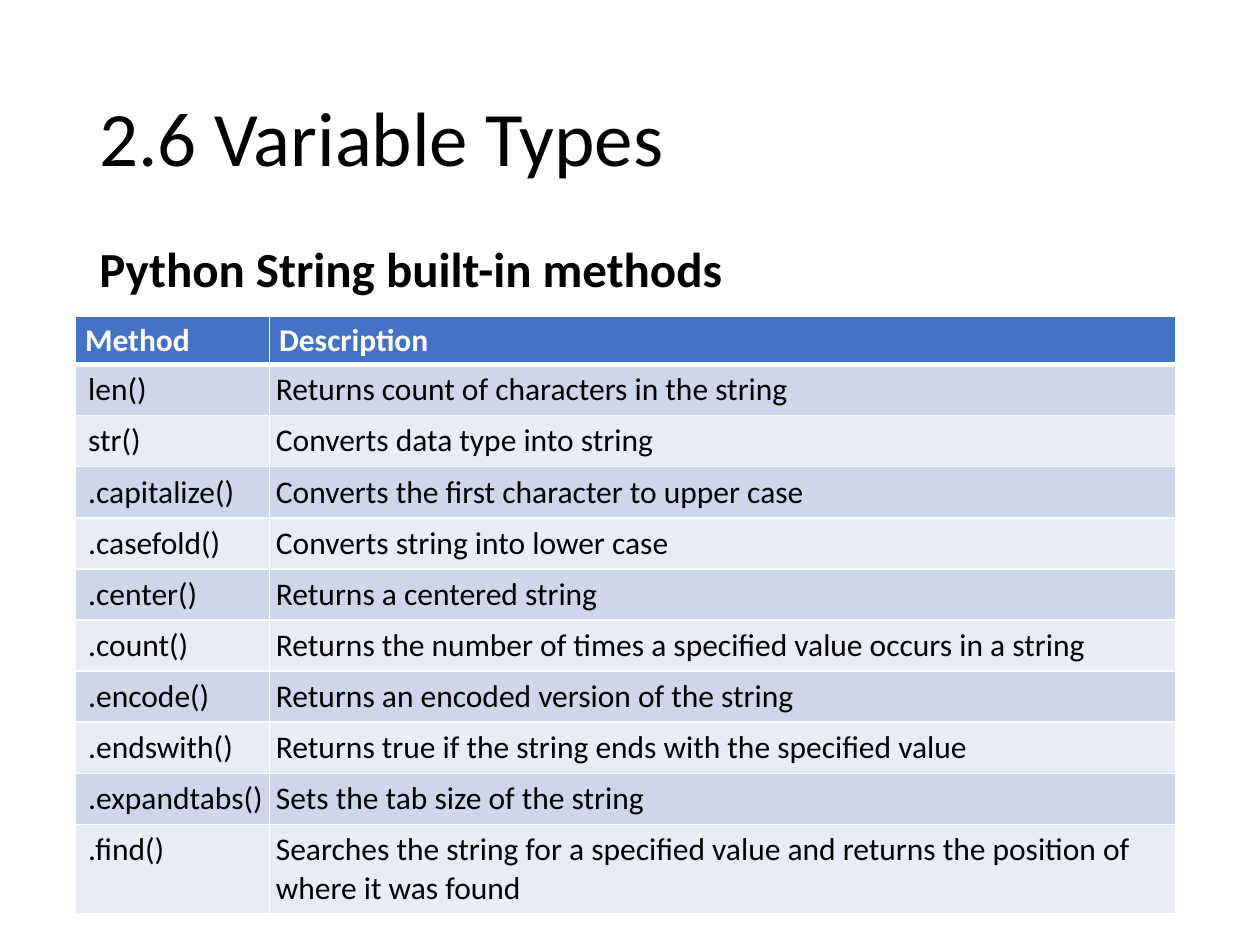
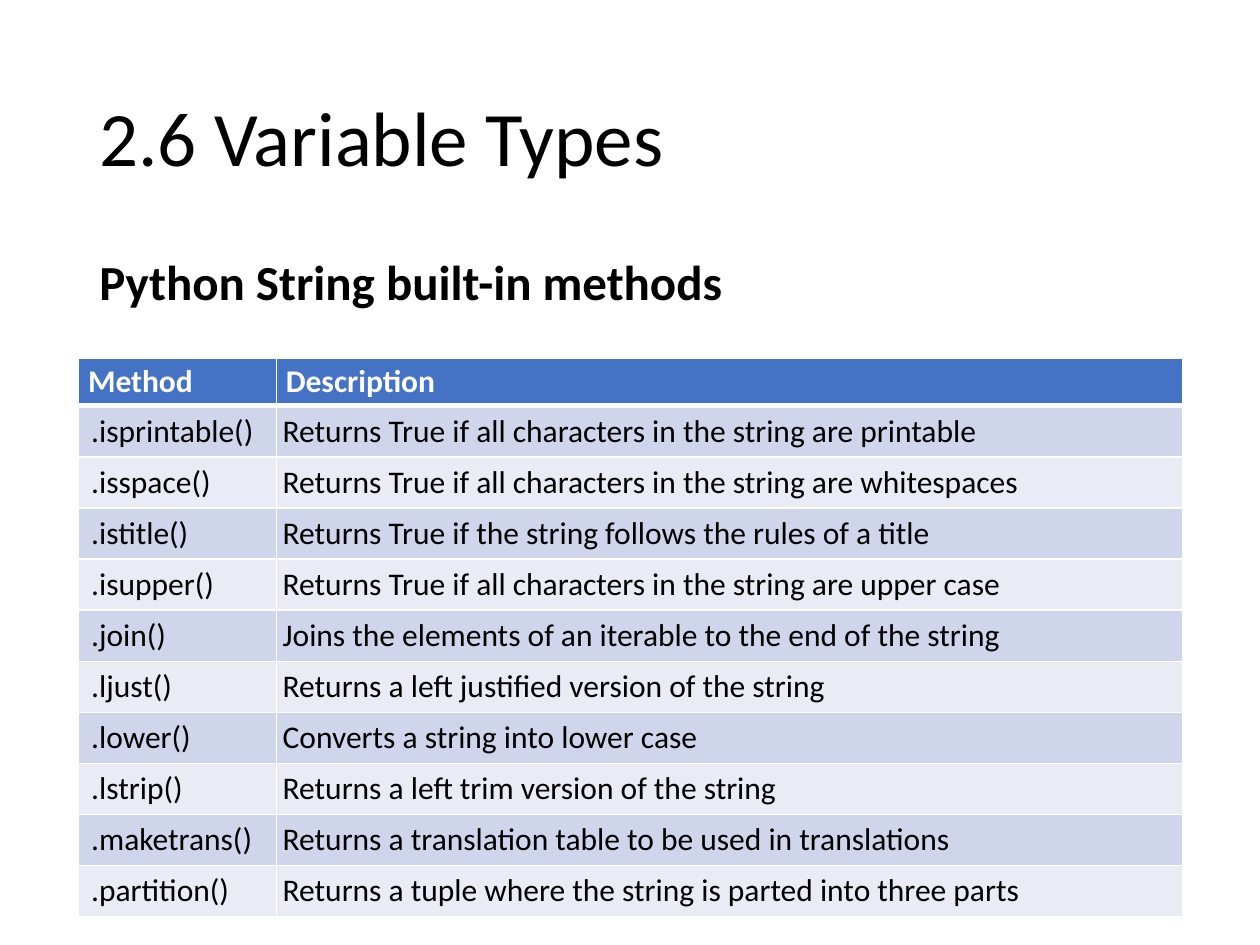
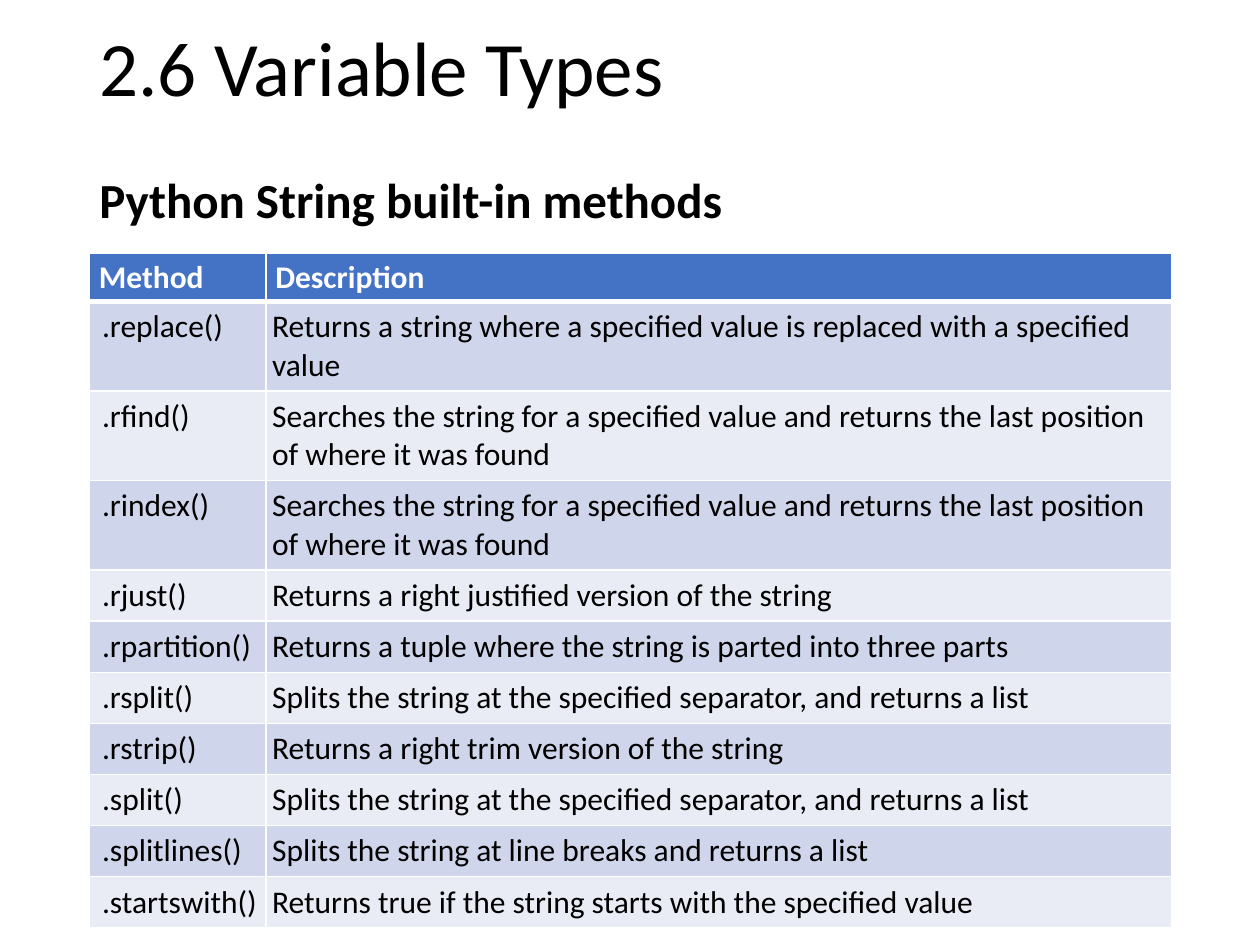
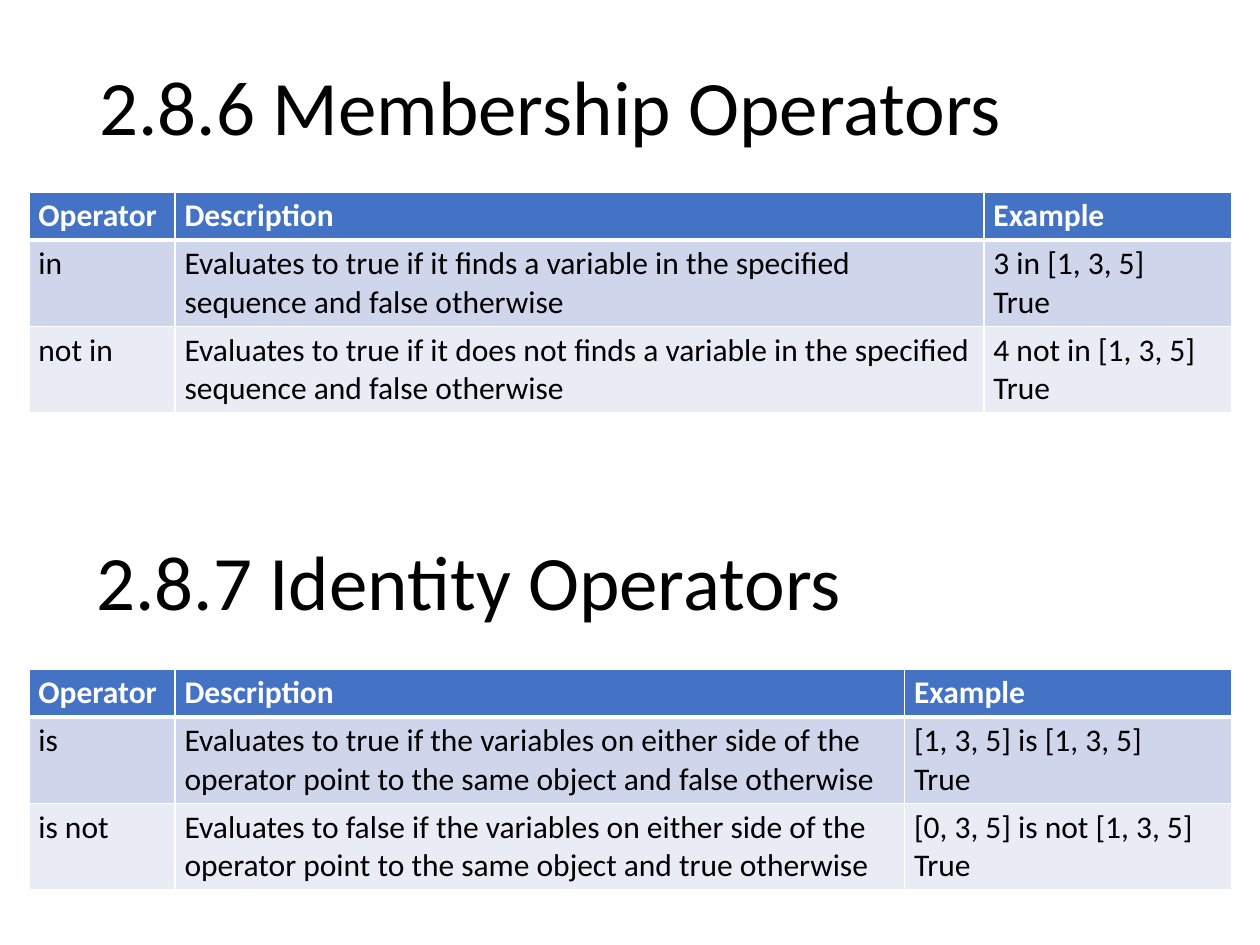
from lxml import etree
from pptx import Presentation
from pptx.dml import color
from pptx.enum import text as t
from pptx.oxml import ns
from pptx.util import Pt

BLACK = color.RGBColor(0x00, 0x00, 0x00)
WHITE = color.RGBColor(0xFF, 0xFF, 0xFF)
BLUE = color.RGBColor(0x44, 0x72, 0xC4)
BAND_DARK = color.RGBColor(0xCF, 0xD5, 0xEA)
BAND_LIGHT = color.RGBColor(0xE9, 0xEB, 0xF5)
FONT = "Calibri"
TITLE_SIZE = 44
TEXT_LEFT, TEXT_WIDTH = 49.68, 620.64
ROW_HEIGHT = 21.6
TIGHT = (5.4, 2.7, 5.4, 2.7)
NAME_MARGINS = (7.2, 3.6, 3.6, 3.6)
DETAIL_MARGINS = (3.6, 3.6, 3.6, 3.6)


def write(frame, words, size=18, ink=BLACK, bold=False, spacing=None, before=None,
          anchor=t.MSO_ANCHOR.TOP, margins=(7.2, 3.6, 7.2, 3.6)):
    frame.word_wrap = True
    frame.auto_size = t.MSO_AUTO_SIZE.NONE
    frame.vertical_anchor = anchor
    frame.margin_left, frame.margin_top, frame.margin_right, frame.margin_bottom = map(Pt, margins)
    for index, line in enumerate(words.split("\n")):
        para = frame.add_paragraph() if index else frame.paragraphs[0]
        para.alignment = t.PP_ALIGN.LEFT
        if spacing:
            para.line_spacing = spacing
        if before:
            para.space_before = Pt(before)
        span = para.add_run()
        span.text = line
        span.font.name = FONT
        span.font.size = Pt(size)
        span.font.bold = bold
        span.font.color.rgb = ink


def add_grid(page, left, top, height, widths, rows, margins):
    holder = page.shapes.add_table(len(rows), len(widths), Pt(left), Pt(top),
                                   Pt(sum(widths)), Pt(ROW_HEIGHT * len(rows)))
    grid = holder.table
    for column, width in zip(grid.columns, widths):
        column.width = Pt(width)
    for r, row in enumerate(rows):
        grid.rows[r].height = Pt(ROW_HEIGHT)
        for c, words in enumerate(row):
            cell = grid.cell(r, c)
            inset = margins[c] if r else TIGHT
            cell.margin_left, cell.margin_top, cell.margin_right, cell.margin_bottom = map(Pt, inset)
            properties = cell._tc.get_or_add_tcPr()
            edges = {"lnL": 1, "lnR": 1, "lnT": 3 if r == 1 else 1, "lnB": 1 if r else 3}
            for edge, weight in edges.items():
                line = etree.SubElement(properties, ns.qn("a:" + edge), w=str(Pt(weight)))
                paint = etree.SubElement(line, ns.qn("a:solidFill"))
                etree.SubElement(paint, ns.qn("a:srgbClr"), val=str(WHITE))
            cell.fill.solid()
            cell.fill.fore_color.rgb = BLUE if r == 0 else BAND_DARK if r % 2 else BAND_LIGHT
            for index, line in enumerate(words.split("\n")):
                frame = cell.text_frame
                para = frame.add_paragraph() if index else frame.paragraphs[0]
                span = para.add_run()
                span.text = line
                span.font.name = FONT
                span.font.size = Pt(18)
                span.font.bold = r == 0
                span.font.color.rgb = BLACK if r else WHITE
    holder.height = Pt(height)


deck = Presentation()
deck.slide_width, deck.slide_height = Pt(720), Pt(540)
title_only = deck.slide_layouts[5]

method_pages = [
    dict(title=(28.8, 104.4), subtitle=(136.8, 74.88), table=(43.2, 180.9, 336.24), name_width=110.88, rows=[
        ("len()", "Returns count of characters in the string"),
        ("str()", "Converts data type into string"),
        (".capitalize()", "Converts the first character to upper case"),
        (".casefold()", "Converts string into lower case"),
        (".center()", "Returns a centered string"),
        (".count()", "Returns the number of times a specified value occurs in a string"),
        (".encode()", "Returns an encoded version of the string"),
        (".endswith()", "Returns true if the string ends with the specified value"),
        (".expandtabs()", "Sets the tab size of the string"),
        (".find()", "Searches the string for a specified value and returns the position of where it was found"),
    ]),
    dict(title=(28.8, 104.4), subtitle=(144, 342.72), table=(44.9, 204.48, 315.36), name_width=113.04, rows=[
        (".isprintable()", "Returns True if all characters in the string are printable"),
        (".isspace()", "Returns True if all characters in the string are whitespaces"),
        (".istitle()", "Returns True if the string follows the rules of a title"),
        (".isupper()", "Returns True if all characters in the string are upper case"),
        (".join()", "Joins the elements of an iterable to the end of the string"),
        (".ljust()", "Returns a left justified version of the string"),
        (".lower()", "Converts a string into lower case"),
        (".lstrip()", "Returns a left trim version of the string"),
        (".maketrans()", "Returns a translation table to be used in translations"),
        (".partition()", "Returns a tuple where the string is parted into three parts"),
    ]),
    dict(title=(3.6, 74.88), subtitle=(97.2, 62.64), table=(51.12, 144.9, 380.16), name_width=100.8, rows=[
        (".replace()", "Returns a string where a specified value is replaced with a specified value"),
        (".rfind()", "Searches the string for a specified value and returns the last position of where it was found"),
        (".rindex()", "Searches the string for a specified value and returns the last position of where it was found"),
        (".rjust()", "Returns a right justified version of the string"),
        (".rpartition()", "Returns a tuple where the string is parted into three parts"),
        (".rsplit()", "Splits the string at the specified separator, and returns a list"),
        (".rstrip()", "Returns a right trim version of the string"),
        (".split()", "Splits the string at the specified separator, and returns a list"),
        (".splitlines()", "Splits the string at line breaks and returns a list"),
        (".startswith()", "Returns true if the string starts with the specified value"),
    ]),
]

for methods in method_pages:
    page = deck.slides.add_slide(title_only)
    title = page.shapes.title
    top, height = methods["title"]
    title.left, title.top, title.width, title.height = map(Pt, (TEXT_LEFT, top, TEXT_WIDTH, height))
    write(title.text_frame, "2.6 Variable Types", size=TITLE_SIZE, spacing=0.9, anchor=t.MSO_ANCHOR.MIDDLE)
    top, height = methods["subtitle"]
    box = page.shapes.add_textbox(*map(Pt, (TEXT_LEFT, top, TEXT_WIDTH, height)))
    write(box.text_frame, "Python String built-in methods", size=28, bold=True, spacing=0.9, before=10)
    add_grid(page, *methods["table"], [methods["name_width"], 517.68],
             [("Method", "Description")] + methods["rows"], [NAME_MARGINS, DETAIL_MARGINS])

page = deck.slides.add_slide(title_only)
title = page.shapes.title
title.left, title.top, title.width, title.height = map(Pt, (TEXT_LEFT, 29.52, TEXT_WIDTH, 66.96))
write(title.text_frame, "2.8.6 Membership Operators", size=TITLE_SIZE, spacing=0.9, anchor=t.MSO_ANCHOR.MIDDLE)
box = page.shapes.add_textbox(*map(Pt, (TEXT_LEFT, 293.76, TEXT_WIDTH, 82.08)))
write(box.text_frame, "2.8.7 Identity Operators", size=TITLE_SIZE, spacing=0.9,
      anchor=t.MSO_ANCHOR.MIDDLE, margins=TIGHT)

membership = [
    ("in", "Evaluates to true if it finds a variable in the specified sequence and false otherwise",
     "3 in [1, 3, 5]\nTrue"),
    ("not in", "Evaluates to true if it does not finds a variable in the specified sequence and false otherwise",
     "4 not in [1, 3, 5]\nTrue"),
]
identity = [
    ("is", "Evaluates to true if the variables on either side of the operator point to the same object "
     "and false otherwise", "[1, 3, 5] is [1, 3, 5]\nTrue"),
    ("is not", "Evaluates to false if the variables on either side of the operator point to the same object "
     "and true otherwise", "[0, 3, 5] is not [1, 3, 5]\nTrue"),
]
for top, widths, operators in [
    (109.8, [83.52, 462.24, 141.84], membership),
    (382.32, [83.52, 416.88, 187.2], identity),
]:
    add_grid(page, 16.56, top, 124.56, widths,
             [("Operator", "Description", "Example")] + operators, [TIGHT] * 3)

deck.save("out.pptx")
